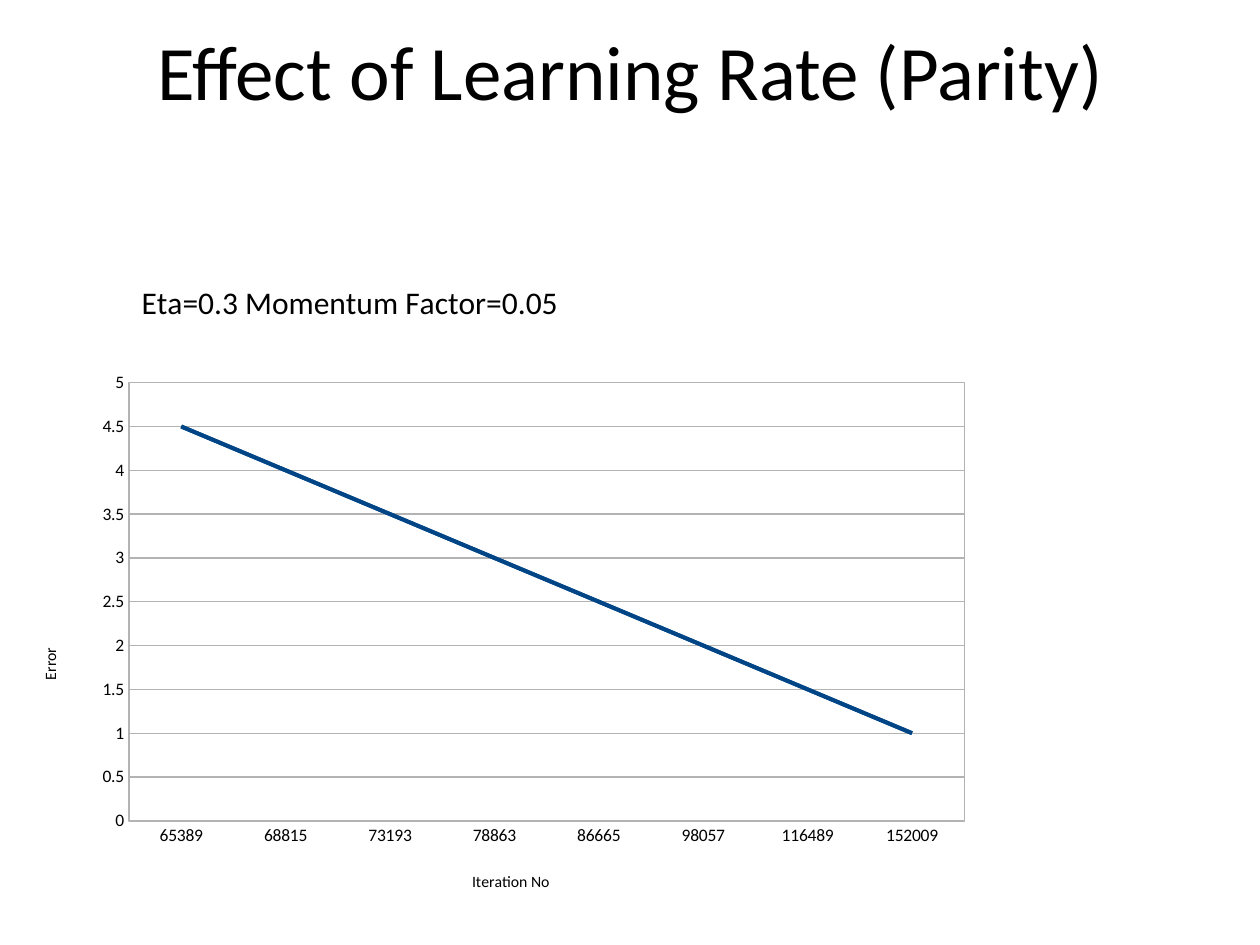
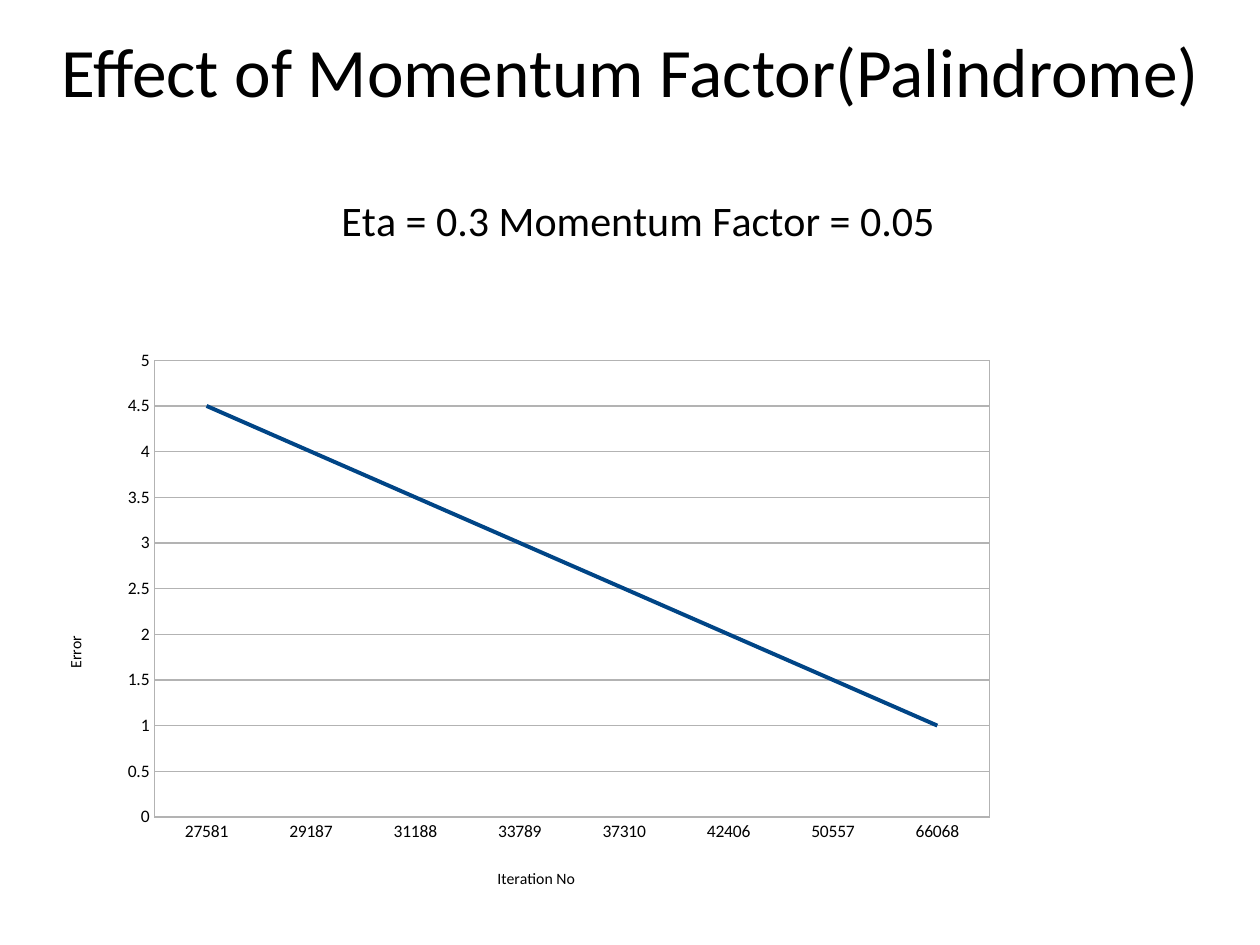
from lxml import etree
from pptx import Presentation
from pptx import util as u
from pptx.chart.data import CategoryChartData
from pptx.dml.color import RGBColor
from pptx.enum import chart as charts, text
from pptx.oxml import parse_xml
from pptx.oxml.ns import nsdecls, qn

FONT = "Calibri"
BLACK = RGBColor(0x00, 0x00, 0x00)
BLUE = RGBColor(0x00, 0x45, 0x86)
GREY = RGBColor(0xB3, 0xB3, 0xB3)

TITLE_BOX = (0.03, 0.08, 25.37, 2.64)
ERRORS = [4.5, 4, 3.5, 3, 2.5, 2, 1.5, 1]


def write(frame, words, size, align=None):
    para = frame.paragraphs[0]
    para.alignment = align
    span = para.add_run()
    span.text = words
    span.font.name = FONT
    span.font.size = u.Pt(size)
    span.font.bold = False
    span.font.color.rgb = BLACK


def add_title(page, words, size):
    box = page.shapes.add_textbox(*map(u.Cm, TITLE_BOX))
    frame = box.text_frame
    frame.word_wrap = True
    frame.vertical_anchor = text.MSO_ANCHOR.MIDDLE
    write(frame, words, size, align=text.PP_ALIGN.CENTER)


def set_layout(element, index, **fractions):
    """Place a chart part by x, y, w and h as fractions of the chart."""
    for old in element.findall(qn("c:layout")):
        element.remove(old)
    layout = parse_xml(f"<c:layout {nsdecls('c')}><c:manualLayout/></c:layout>")
    manual = layout[0]
    for name in ("x", "y"):
        etree.SubElement(manual, qn(f"c:{name}Mode")).set("val", "edge")
    for name, value in fractions.items():
        etree.SubElement(manual, qn(f"c:{name}")).set("val", str(value))
    element.insert(index, layout)


def add_chart_title(title, words, size, x, y):
    write(title.text_frame, words, size)
    set_layout(title._element, 1, x=x, y=y)


def style_line(line, color, width=0.75):
    line.color.rgb = color
    line.width = u.Pt(width)


def style_axis(axis, words, x, y):
    axis.major_tick_mark = axis.minor_tick_mark = charts.XL_TICK_MARK.NONE
    axis.tick_labels.font.size = u.Pt(10)
    style_line(axis.format.line, GREY)
    add_chart_title(axis.axis_title, words, 9, x, y)


def frame_plot(plot_area):
    plot_area.append(parse_xml(
        f"<c:spPr {nsdecls('c', 'a')}><a:noFill/><a:ln w='{u.Pt(0.75)}'>"
        f"<a:solidFill><a:srgbClr val='{GREY}'/></a:solidFill></a:ln></c:spPr>"))


def add_error_chart(page, box, iterations, series_count, heading):
    data = CategoryChartData()
    data.categories = [str(number) for number in iterations]
    for number in range(1, series_count + 1):
        data.add_series(f"Series {number}", ERRORS)
    chart = page.shapes.add_chart(
        charts.XL_CHART_TYPE.LINE, *map(u.Cm, box), data).chart
    chart.has_legend = False
    chart.font.name = FONT
    chart.font.size = u.Pt(10)
    chart.font.color.rgb = BLACK
    add_chart_title(chart.chart_title, **heading)
    chart.chart_title.include_in_layout = False

    style_axis(chart.category_axis, "Iteration No", x=0.38, y=0.9)
    values = chart.value_axis
    style_axis(values, "Error", x=0.03, y=0.61)
    values.minimum_scale, values.maximum_scale = 0, 5
    values.major_unit = 0.5
    values.tick_labels.number_format = "General"
    values.tick_labels.number_format_is_linked = False
    style_line(values.major_gridlines.format.line, GREY)

    plot = chart.plots[0]
    plot.vary_by_categories = False
    for series in plot.series:
        series.smooth = False
        series.marker.style = charts.XL_MARKER_STYLE.NONE
        style_line(series.format.line, BLUE, 2.27)
    plot_area = chart._chartSpace.chart.plotArea
    set_layout(plot_area, 0, x=0.083, y=0.257, w=0.698, h=0.614)
    frame_plot(plot_area)


def add_page(deck, title, title_size, **chart):
    page = deck.slides.add_slide(deck.slide_layouts[6])
    add_title(page, title, title_size)
    add_error_chart(page, **chart)


def main():
    deck = Presentation()
    deck.slide_width, deck.slide_height = u.Cm(25.4), u.Cm(19.05)
    add_page(
        deck, "Effect of Learning Rate (Parity)", 44,
        box=(0, 3.53, 24.89, 15.52),
        iterations=[65389, 68815, 73193, 78863, 86665, 98057, 116489, 152009],
        series_count=2,
        heading=dict(words="Eta=0.3 Momentum Factor=0.05", size=18,
                     x=0.11, y=0.13))
    add_page(
        deck, "Effect of Momentum Factor(Palindrome)", 39.6,
        box=(0.51, 2.92, 24.89, 16.13),
        iterations=[27581, 29187, 31188, 33789, 37310, 42406, 50557, 66068],
        series_count=1,
        heading=dict(words="Eta = 0.3 Momentum Factor = 0.05", size=24,
                     x=0.25, y=0.05))
    deck.save("out.pptx")


if __name__ == "__main__":
    main()
